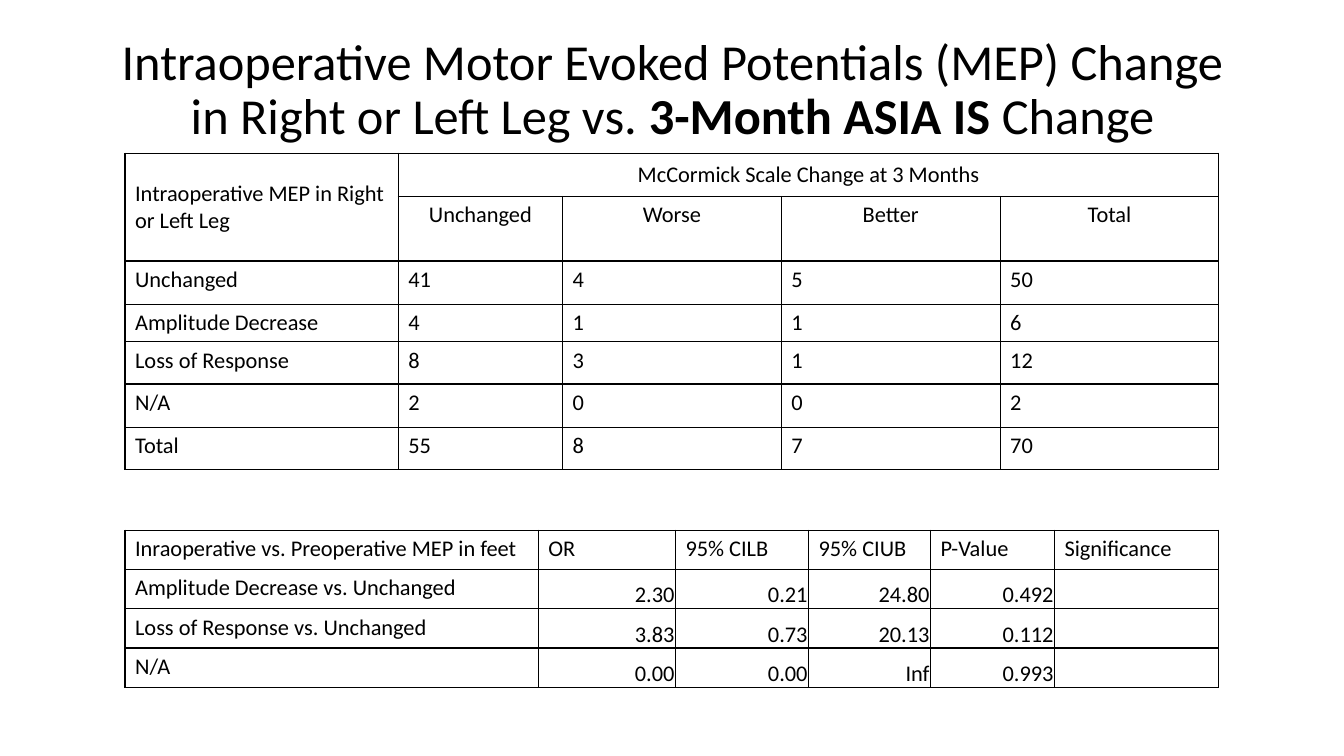
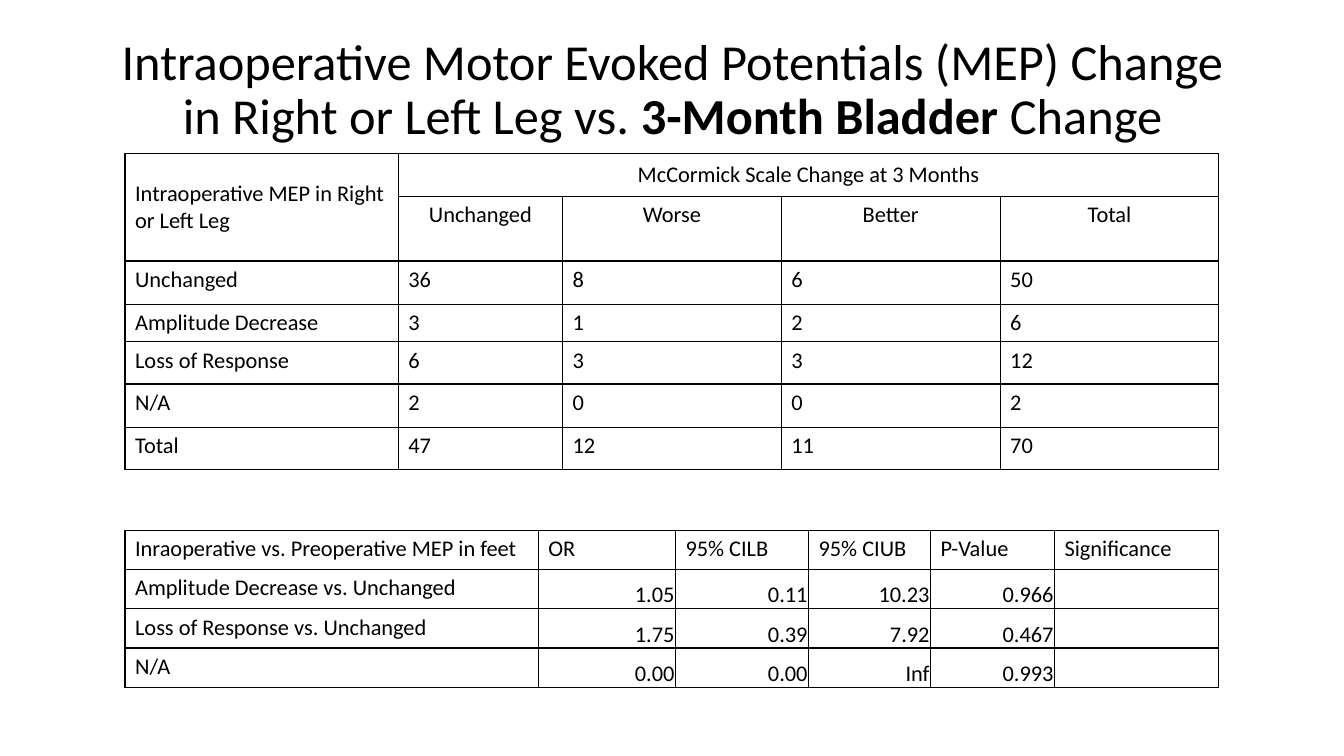
from lxml import etree
from pptx import Presentation
from pptx.dml.color import RGBColor
from pptx.enum.text import MSO_ANCHOR, PP_ALIGN
from pptx.oxml.ns import qn
from pptx.util import Inches, Pt

LEFT, CENTER, RIGHT = PP_ALIGN.LEFT, PP_ALIGN.CENTER, PP_ALIGN.RIGHT
TOP, MIDDLE, BOTTOM = MSO_ANCHOR.TOP, MSO_ANCHOR.MIDDLE, MSO_ANCHOR.BOTTOM

COUNT_COLUMNS = [2.71, 1.63, 2.17, 2.17, 2.17]
COUNT_ROWS = [0.43, 0.64, 0.43, 0.37, 0.42, 0.43, 0.42]
COUNT_HEADINGS = ["Unchanged", "Worse", "Better", "Total"]
COUNT_LABELS = ["Unchanged", "Amplitude Decrease", "Loss of Response", "N/A", "Total"]
ODDS_COLUMNS = [4.1, 1.36, 1.32, 1.21, 1.23, 1.63]
ODDS_ROWS = [0.39] * 4
ODDS_HEADINGS = ["Inraoperative vs. Preoperative MEP in feet", "OR", "95% CILB",
                 "95% CIUB", "P-Value", "Significance"]
ODDS_LABELS = ["Amplitude Decrease vs. Unchanged", "Loss of Response vs. Unchanged", "N/A"]

RESULTS = [
    ("3-Month ASIA IS ",
     [[41, 4, 5, 50], [4, 1, 1, 6], [8, 3, 1, 12], [2, 0, 0, 2], [55, 8, 7, 70]],
     [["2.30", "0.21", "24.80", "0.492"], ["3.83", "0.73", "20.13", "0.112"],
      ["0.00", "0.00", "Inf", "0.993"]]),
    ("3-Month Bladder ",
     [[36, 8, 6, 50], [3, 1, 2, 6], [6, 3, 3, 12], [2, 0, 0, 2], [47, 12, 11, 70]],
     [["1.05", "0.11", "10.23", "0.966"], ["1.75", "0.39", "7.92", "0.467"],
      ["0.00", "0.00", "Inf", "0.993"]]),
]


def color(value):
    return RGBColor.from_string(value)


def write(frame, *runs, size=16, align=LEFT, spacing=None, font="Calibri", ink="000000"):
    paragraph = frame.paragraphs[0]
    paragraph.alignment = align
    paragraph.line_spacing = spacing
    for text, bold in runs:
        run = paragraph.add_run()
        run.text = text
        run.font.name, run.font.size, run.font.bold = font, Pt(size), bold
        run.font.color.rgb = color(ink)


class Deck:
    """Holds the shared style, the presentation and the current slide."""

    left = 1.24
    line = "000000"

    def __init__(self):
        self.presentation = Presentation()
        self.presentation.slide_width = Inches(13.33)
        self.presentation.slide_height = Inches(7.5)
        self.slide = None

    def add_slide(self):
        self.slide = self.presentation.slides.add_slide(self.presentation.slide_layouts[6])

    def title(self, outcome):
        box = self.slide.shapes.add_textbox(Inches(0.92), Inches(0.29), Inches(11.5), Inches(1.23))
        frame = box.text_frame
        frame.word_wrap = True
        frame.vertical_anchor = MIDDLE
        write(frame,
              ("Intraoperative Motor Evoked Potentials (MEP) Change in Right or Left Leg vs. ", False),
              (outcome, True), ("Change", False), size=36, align=CENTER, spacing=0.9)

    def border(self, cell):
        properties = cell._tc.get_or_add_tcPr()
        for index, side in enumerate(("a:lnL", "a:lnR", "a:lnT", "a:lnB")):
            line = etree.Element(qn(side), w=str(Pt(1)))
            fill = etree.SubElement(line, qn("a:solidFill"))
            etree.SubElement(fill, qn("a:srgbClr"), val=self.line)
            properties.insert(index, line)

    def table(self, top, columns, rows):
        frame = self.slide.shapes.add_table(
            len(rows), len(columns), Inches(self.left), Inches(top),
            Inches(sum(columns)), Inches(sum(rows)))
        table = frame.table
        table.first_row = table.horz_banding = False
        for column, width in zip(table.columns, columns):
            column.width = Inches(width)
        for row, height in zip(table.rows, rows):
            row.height = Inches(height)
        for cell in table.iter_cells():
            cell.fill.background()
            self.border(cell)
        return table

    def cell(self, cell, text, align=LEFT, anchor=TOP, tight=False):
        cell.vertical_anchor = anchor
        if tight:
            cell.margin_left = cell.margin_right = cell.margin_top = Inches(0.01)
            cell.margin_bottom = 0
        if text:
            write(cell.text_frame, (text, False), align=align)

    def count_table(self, counts):
        table = self.table(1.52, COUNT_COLUMNS, COUNT_ROWS)
        table.cell(0, 0).merge(table.cell(1, 0))
        table.cell(0, 1).merge(table.cell(0, 4))
        self.cell(table.cell(0, 0), "Intraoperative MEP in Right or Left Leg", anchor=MIDDLE)
        self.cell(table.cell(0, 1), "McCormick Scale Change at 3 Months", CENTER, MIDDLE)
        for column, heading in enumerate(COUNT_HEADINGS, 1):
            self.cell(table.cell(1, column), heading, CENTER)
        for row, (label, values) in enumerate(zip(COUNT_LABELS, counts), 2):
            for column, value in enumerate([label, *values]):
                self.cell(table.cell(row, column), str(value))

    def odds_table(self, odds):
        table = self.table(5.26, ODDS_COLUMNS, ODDS_ROWS)
        for column, heading in enumerate(ODDS_HEADINGS):
            self.cell(table.cell(0, column), heading)
        for row, (label, values) in enumerate(zip(ODDS_LABELS, odds), 1):
            self.cell(table.cell(row, 0), label)
            for column, value in enumerate([*values, ""], 1):
                self.cell(table.cell(row, column), value, RIGHT, BOTTOM, tight=True)


def main():
    deck = Deck()
    for outcome, counts, odds in RESULTS:
        deck.add_slide()
        deck.title(outcome)
        deck.count_table(counts)
        deck.odds_table(odds)
    deck.presentation.save("out.pptx")


if __name__ == "__main__":
    main()
